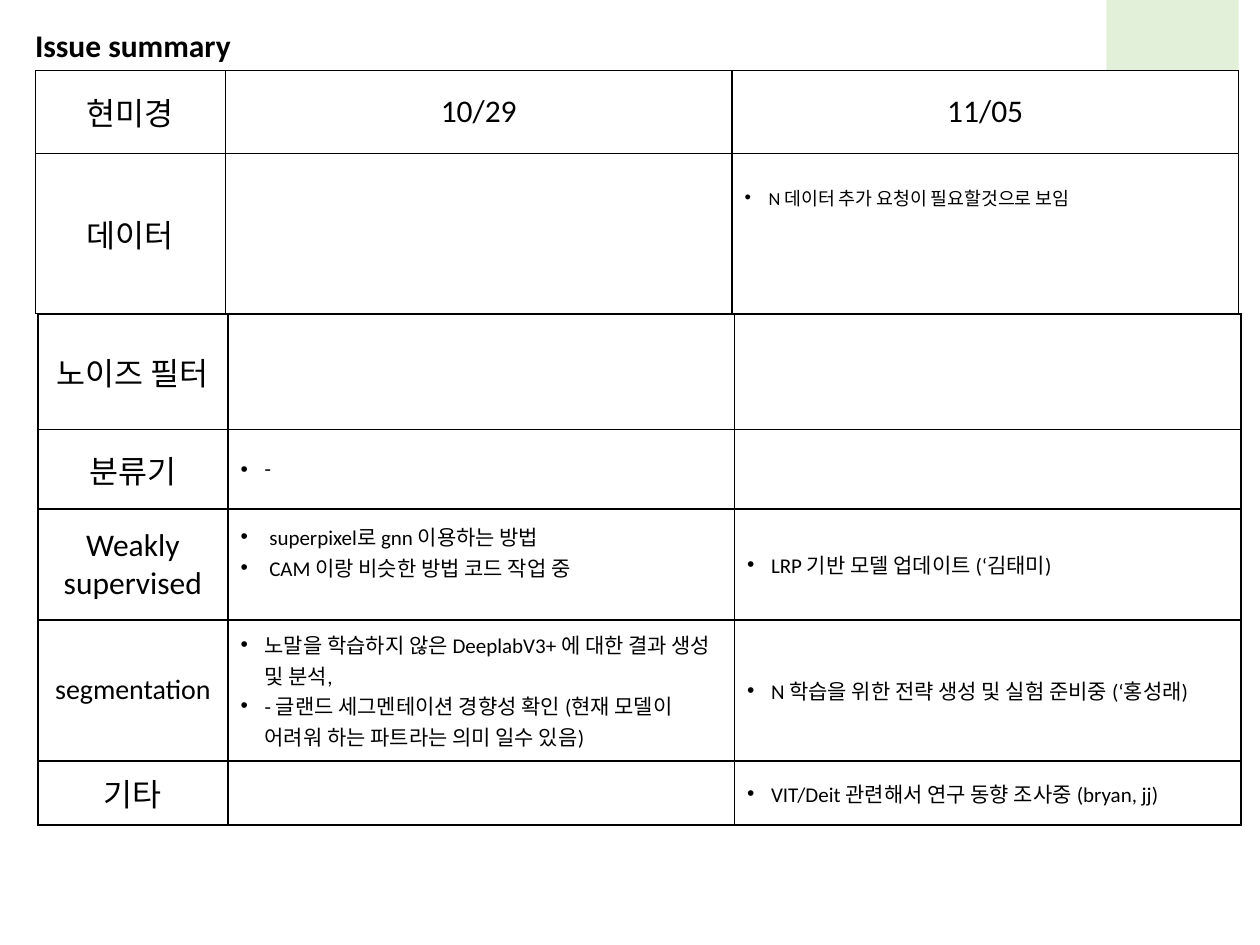
from lxml import etree
from pptx import Presentation
from pptx.dml.color import RGBColor
from pptx.enum.shapes import MSO_SHAPE
from pptx.enum.text import MSO_ANCHOR, PP_ALIGN
from pptx.oxml.ns import qn
from pptx.util import Inches, Pt

RECTANGLE = MSO_SHAPE.RECTANGLE
MIDDLE = MSO_ANCHOR.MIDDLE
TOP = MSO_ANCHOR.TOP
CENTER = PP_ALIGN.CENTER

COLORS = {"ink": "000000", "paper": "FFFFFF", "accent": "E2F0D9"}
FONT = "Calibri"
COLUMN_WIDTHS = [1.51, 4.02, 4.02]
LABEL = {"size": Pt(18)}
SMALL_LABEL = {"size": Pt(16)}
TITLE = {"size": Pt(18), "bold": True}
NOTE = {"size": Pt(12)}
SMALL_NOTE = {"size": Pt(10.5)}
CENTERED = {"vertical_anchor": MIDDLE}
LOWERED = {"vertical_anchor": TOP, "margin_top": Inches(0.24)}
RAISED = {"vertical_anchor": MIDDLE, "margin_bottom": Inches(0.25)}


def apply_format(target, values):
    """Set each named attribute of the target."""
    for name, value in values.items():
        setattr(target, name, value)


def paint(fill, color):
    """Give a fill a solid palette colour."""
    fill.solid()
    fill.fore_color.rgb = RGBColor.from_string(COLORS[color])


def write(paragraph, text, font_format):
    """Add a run in the slide's typeface."""
    run = paragraph.add_run()
    run.text = text
    apply_format(run.font, {"name": FONT, **font_format})
    run.font.color.rgb = RGBColor.from_string(COLORS["ink"])


def add_bullet(paragraph):
    """Give a paragraph a hanging round bullet."""
    properties = paragraph._p.get_or_add_pPr()
    indent = Inches(0.19)
    properties.set("marL", str(indent))
    properties.set("indent", str(-indent))
    etree.SubElement(properties, qn("a:buFont"), typeface="Arial")
    etree.SubElement(properties, qn("a:buChar"), char="•")


def rule_cell(cell):
    """Draw one-point borders on all sides and a plain fill."""
    properties = cell._tc.get_or_add_tcPr()
    for side in ("lnL", "lnR", "lnT", "lnB"):
        line = etree.SubElement(properties, qn(f"a:{side}"), w=str(Pt(1)))
        solid = etree.SubElement(line, qn("a:solidFill"))
        etree.SubElement(solid, qn("a:srgbClr"), val=COLORS["ink"])
    paint(cell.fill, "paper")


def fill_label(cell, text, font_format=LABEL):
    """Write a centred heading in a cell."""
    apply_format(cell, CENTERED)
    paragraph = cell.text_frame.paragraphs[0]
    paragraph.alignment = CENTER
    write(paragraph, text, font_format)


def fill_notes(cell, notes, font_format=NOTE, cell_format=CENTERED):
    """Write bulleted notes in a cell."""
    apply_format(cell, cell_format)
    frame = cell.text_frame
    for index, note in enumerate(notes):
        paragraph = frame.add_paragraph() if index else frame.paragraphs[0]
        add_bullet(paragraph)
        write(paragraph, note, font_format)


def add_issue_table(slide, left, top, row_heights):
    """Add a ruled three-column table and return it."""
    table = slide.shapes.add_table(
        len(row_heights), len(COLUMN_WIDTHS), Inches(left), Inches(top),
        Inches(sum(COLUMN_WIDTHS)), Inches(sum(row_heights))).table
    apply_format(table, {"first_row": False, "horz_banding": False})
    for column, width in zip(table.columns, COLUMN_WIDTHS):
        column.width = Inches(width)
    for row, height in zip(table.rows, row_heights):
        row.height = Inches(height)
    for cell in table.iter_cells():
        rule_cell(cell)
    return table


def add_accent(slide):
    """Add the green block at the top right."""
    accent = slide.shapes.add_shape(
        RECTANGLE, Inches(8.78), Inches(-0.15), Inches(1.05), Inches(1.44))
    accent.shadow.inherit = False
    paint(accent.fill, "accent")
    accent.line.fill.background()


def add_title(slide):
    """Add the slide heading."""
    frame = slide.shapes.add_textbox(
        Inches(0.18), Inches(0.16), Inches(3.13), Inches(0.4)).text_frame
    frame.word_wrap = True
    write(frame.paragraphs[0], "Issue summary", TITLE)


def add_data_issues(slide):
    """Add the dated header and the data row."""
    table = add_issue_table(slide, 0.28, 0.56, [0.66, 1.27])
    for column, heading in enumerate(["현미경", "10/29", "11/05"]):
        fill_label(table.cell(0, column), heading)
    fill_label(table.cell(1, 0), "데이터")
    fill_notes(table.cell(1, 2), ["N 데이터 추가 요청이 필요할것으로 보임"],
               SMALL_NOTE, LOWERED)


def add_model_issues(slide):
    """Add the rows on filtering, models and other topics."""
    table = add_issue_table(slide, 0.3, 2.49, [0.92, 0.63, 0.88, 1.12, 0.51])
    topics = [("노이즈 필터", LABEL), ("분류기", LABEL),
              ("Weakly supervised", LABEL), ("segmentation", SMALL_LABEL),
              ("기타", LABEL)]
    for row, (topic, font_format) in enumerate(topics):
        fill_label(table.cell(row, 0), topic, font_format)

    fill_notes(table.cell(1, 1), ["-"])
    fill_notes(table.cell(2, 1), [" superpixel로 gnn 이용하는 방법",
                                  " CAM 이랑 비슷한 방법 코드 작업 중"],
               cell_format=RAISED)
    fill_notes(table.cell(2, 2), ["LRP 기반 모델 업데이트 (‘김태미)"])
    fill_notes(table.cell(3, 1), [
        "노말을 학습하지 않은 DeeplabV3+ 에 대한 결과 생성 및 분석,",
        "- 글랜드 세그멘테이션 경향성 확인 (현재 모델이 어려워 하는 파트라는 의미 일수 있음)"])
    fill_notes(table.cell(3, 2), ["N 학습을 위한 전략 생성 및 실험 준비중 (‘홍성래)"])
    fill_notes(table.cell(4, 2), ["VIT/Deit 관련해서 연구 동향 조사중 (bryan, jj)"])


def main():
    """Build and save the issue summary slide."""
    deck = Presentation()
    apply_format(deck, {"slide_width": Inches(10), "slide_height": Inches(7.5)})
    slide = deck.slides.add_slide(deck.slide_layouts[6])
    add_accent(slide)
    add_title(slide)
    add_data_issues(slide)
    add_model_issues(slide)
    deck.save("out.pptx")


if __name__ == "__main__":
    main()
